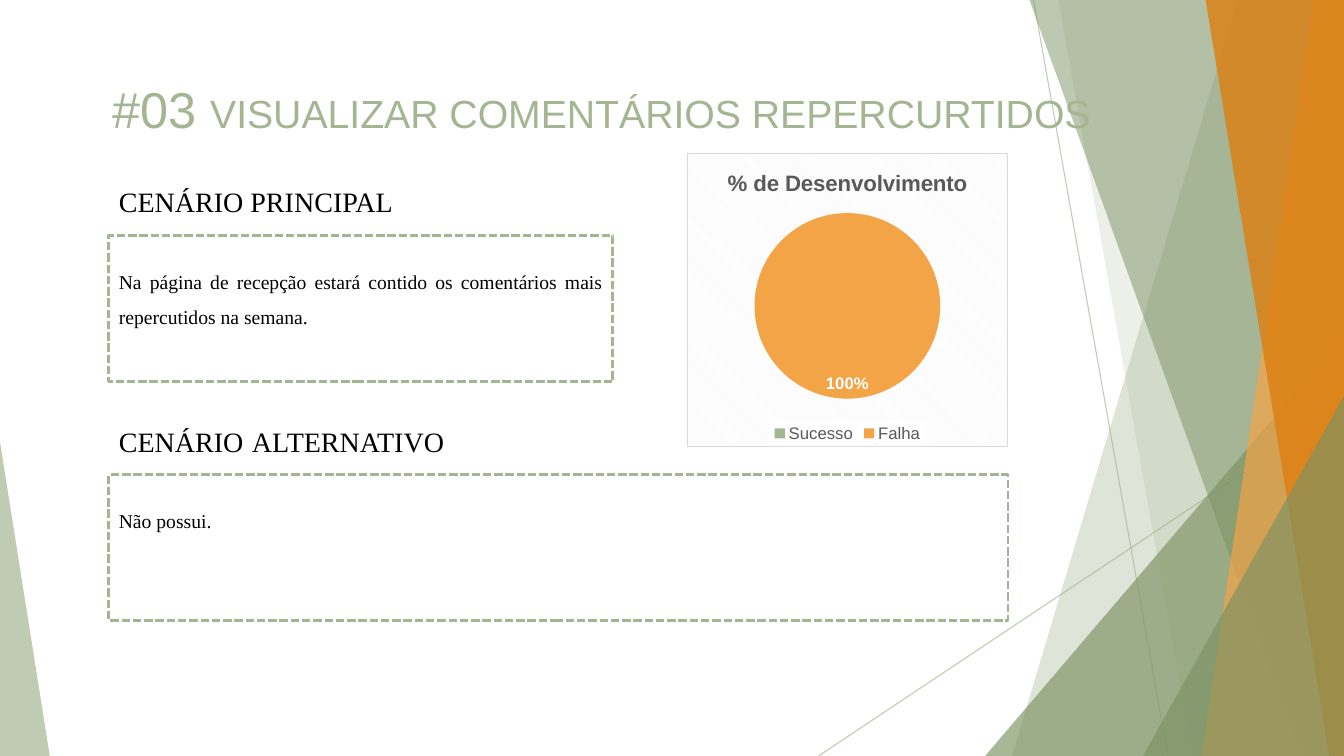
from lxml import etree
from pptx import Presentation
from pptx.chart.data import CategoryChartData
from pptx.dml.color import RGBColor
from pptx.enum.chart import XL_CHART_TYPE, XL_LABEL_POSITION, XL_LEGEND_POSITION
from pptx.enum.dml import MSO_LINE
from pptx.enum.shapes import MSO_CONNECTOR, MSO_SHAPE
from pptx.enum.text import MSO_ANCHOR, PP_ALIGN
from pptx.oxml import parse_xml
from pptx.oxml.ns import nsdecls, qn
from pptx.util import Inches, Pt

PIE = XL_CHART_TYPE.PIE
LEGEND_BOTTOM = XL_LEGEND_POSITION.BOTTOM
INSIDE_END = XL_LABEL_POSITION.INSIDE_END
DASH = MSO_LINE.SQUARE_DOT
STRAIGHT = MSO_CONNECTOR.STRAIGHT
RECTANGLE = MSO_SHAPE.RECTANGLE
TRIANGLE = MSO_SHAPE.ISOSCELES_TRIANGLE
MIDDLE = MSO_ANCHOR.MIDDLE
TOP = MSO_ANCHOR.TOP
JUSTIFY = PP_ALIGN.JUSTIFY

HEX = {
    "sage": "A5B592", "moss": "7C9263", "amber": "F3A447", "orange": "DD7E0E",
    "white": "FFFFFF", "black": "000000", "gray": "595959",
    "border": "D9D9D9", "stripe": "F2F2F2",
}
COLORS = {name: RGBColor.from_string(value) for name, value in HEX.items()}
LEFT = 8.1
RIGHT = 75

deck = Presentation()
deck.slide_width = Inches(13.33)
deck.slide_height = Inches(7.5)
page = deck.slides.add_slide(deck.slide_layouts[6])


def place(*shares):
    sides = (deck.slide_width, deck.slide_height)
    return [round(sides[i % 2] * share / 100) for i, share in enumerate(shares)]


def set_opacity(item, percent):
    for color in item.element.xpath(".//p:spPr//a:srgbClr"):
        etree.SubElement(color, qn("a:alpha"), val=str(percent * 1000))


for ends in ((76.9, 0, 86.9, 100), (100, 53.7, 60.9, 100)):
    ray = page.shapes.add_connector(STRAIGHT, *place(*ends))
    ray.line.color.rgb = COLORS["sage"]
    ray.line.width = Pt(0.75)
    set_opacity(ray, 70)
    etree.SubElement(ray.element.spPr, qn("a:effectLst"))

facets = [
    ("wedge", (92.1, 75.3), "sage", 36),
    ("wedge", (78.75, 88.75), "sage", 20),
    ("triangle", (73.3, 44.4, 26.7, 55.6, 1), "moss", 66),
    ("wedge", (76.6, 96.85), "moss", 50),
    ("wedge", (97.75, 89.4), "amber", 70),
    ("wedge", (89.7, 98.9), "orange", 80),
    ("triangle", (85.05, 52.4, 14.95, 47.6, 1), "moss", 66),
    ("triangle", (0, 58.5, 3.7, 41.5, 0), "sage", 70),
]
for kind, measures, color, opacity in facets:
    if kind == "wedge":
        upper, lower = measures
        outline = page.shapes.build_freeform(*place(upper, 0), scale=1.0)
        corners = [place(100, 0), place(100, 100), place(lower, 100)]
        outline.add_line_segments(corners, close=True)
        facet = outline.convert_to_shape()
    else:
        *bounds, apex = measures
        facet = page.shapes.add_shape(TRIANGLE, *place(*bounds))
        facet.adjustments[0] = apex
    facet.shadow.inherit = False
    facet.fill.solid()
    facet.fill.fore_color.rgb = COLORS[color]
    facet.line.fill.background()
    set_opacity(facet, opacity)

scenarios = [
    ((LEFT, 31.2, 37.5, 19.3),
     "Na página de recepção estará contido os comentários mais repercutidos na semana."),
    ((LEFT, 62.8, RIGHT - LEFT, 19.3), "Não possui."),
]
body_format = {"name": "Times New Roman", "size": Pt(14)}
for bounds, text in scenarios:
    box = page.shapes.add_shape(RECTANGLE, *place(*bounds))
    box.shadow.inherit = False
    box.fill.solid()
    box.fill.fore_color.rgb = COLORS["white"]
    box.line.color.rgb = COLORS["sage"]
    box.line.width = Pt(2)
    box.line.dash_style = DASH
    frame = box.text_frame
    frame.word_wrap = True
    frame.vertical_anchor = TOP
    frame.margin_top = Inches(0.22)
    para = frame.paragraphs[0]
    para.alignment = JUSTIFY
    para.line_spacing = 1.5
    span = para.add_run()
    span.text = text
    span.font.color.rgb = COLORS["black"]
    for name, value in body_format.items():
        setattr(span.font, name, value)

headings = [
    ((LEFT, 23.7, 30.6, 5.9), "Times New Roman", "black", [("CENÁRIO PRINCIPAL", 20)]),
    ((LEFT, 54.7, 30.6, 6.7), "Times New Roman", "black",
     [("CENÁRIO", 20), (" ", 24), ("ALTERNATIVO", 20)]),
    ((7.6, 9.6, 78, 9.5), "Arial", "sage",
     [("#03 ", 36), ("VISUALIZAR COMENTÁRIOS REPERCURTIDOS", 28)]),
]
for bounds, face, color, pieces in headings:
    box = page.shapes.add_textbox(*place(*bounds))
    box.text_frame.word_wrap = True
    box.text_frame.vertical_anchor = MIDDLE
    for text, size in pieces:
        span = box.text_frame.paragraphs[0].add_run()
        span.text = text
        span.font.color.rgb = COLORS[color]
        for name, value in {"name": face, "size": Pt(size)}.items():
            setattr(span.font, name, value)

data = CategoryChartData()
data.categories = ["Sucesso", "Falha"]
data.add_series("Series 1", (0, 100))
chart = page.shapes.add_chart(PIE, *place(51.1, 20.3, RIGHT - 51.1, 38.8), data).chart
chart.has_title = True
chart.has_legend = True
chart.legend.position = LEGEND_BOTTOM
chart.legend.include_in_layout = False
plot = chart.plots[0]
plot.vary_by_categories = True
series = plot.series[0]
for index, color in enumerate(("sage", "amber")):
    slice_fill = series.points[index].format.fill
    slice_fill.solid()
    slice_fill.fore_color.rgb = COLORS[color]

labels = series.data_labels
for name, value in {"show_percentage": True, "show_value": False, "position": INSIDE_END}.items():
    setattr(labels, name, value)
title = chart.chart_title.text_frame.paragraphs[0].add_run()
title.text = "% de Desenvolvimento"
chart_fonts = [
    (chart.font, 10, "black", False),
    (chart.legend.font, 12, "gray", False),
    (labels.font, 12, "white", True),
    (title.font, 16, "gray", True),
]
for font, size, color, bold in chart_fonts:
    font.color.rgb = COLORS[color]
    for name, value in {"name": "Arial", "size": Pt(size), "bold": bold}.items():
        setattr(font, name, value)

space = chart.element
space.xpath(".//c:ser/c:dLbls")[0].insert(0, parse_xml(
    f'<c:dLbl {nsdecls("c")}><c:idx val="0"/><c:delete val="1"/></c:dLbl>'))
space.xpath("./c:chart")[0].addnext(parse_xml(
    f'<c:spPr {nsdecls("c", "a")}><a:pattFill prst="dkDnDiag">'
    f'<a:fgClr><a:srgbClr val="{HEX["stripe"]}"/></a:fgClr>'
    f'<a:bgClr><a:srgbClr val="{HEX["white"]}"/></a:bgClr></a:pattFill>'
    f'<a:ln w="9525"><a:solidFill><a:srgbClr val="{HEX["border"]}"/></a:solidFill></a:ln></c:spPr>'))
space.xpath(".//c:legend/c:txPr")[0].addprevious(parse_xml(
    f'<c:spPr {nsdecls("c", "a")}><a:solidFill>'
    f'<a:srgbClr val="{HEX["white"]}"/></a:solidFill></c:spPr>'))
plot_area = space.xpath(".//c:plotArea")[0]
for layout in plot_area.xpath("./c:layout"):
    plot_area.remove(layout)
pie_bounds = {"x": 0.21, "y": 0.2, "w": 0.58, "h": 0.64}
sizes = "".join(f'<c:{side} val="{share}"/>' for side, share in pie_bounds.items())
plot_area.insert(0, parse_xml(
    f'<c:layout {nsdecls("c")}><c:manualLayout><c:layoutTarget val="inner"/>'
    f'<c:xMode val="edge"/><c:yMode val="edge"/>{sizes}</c:manualLayout></c:layout>'))

deck.save("out.pptx")
